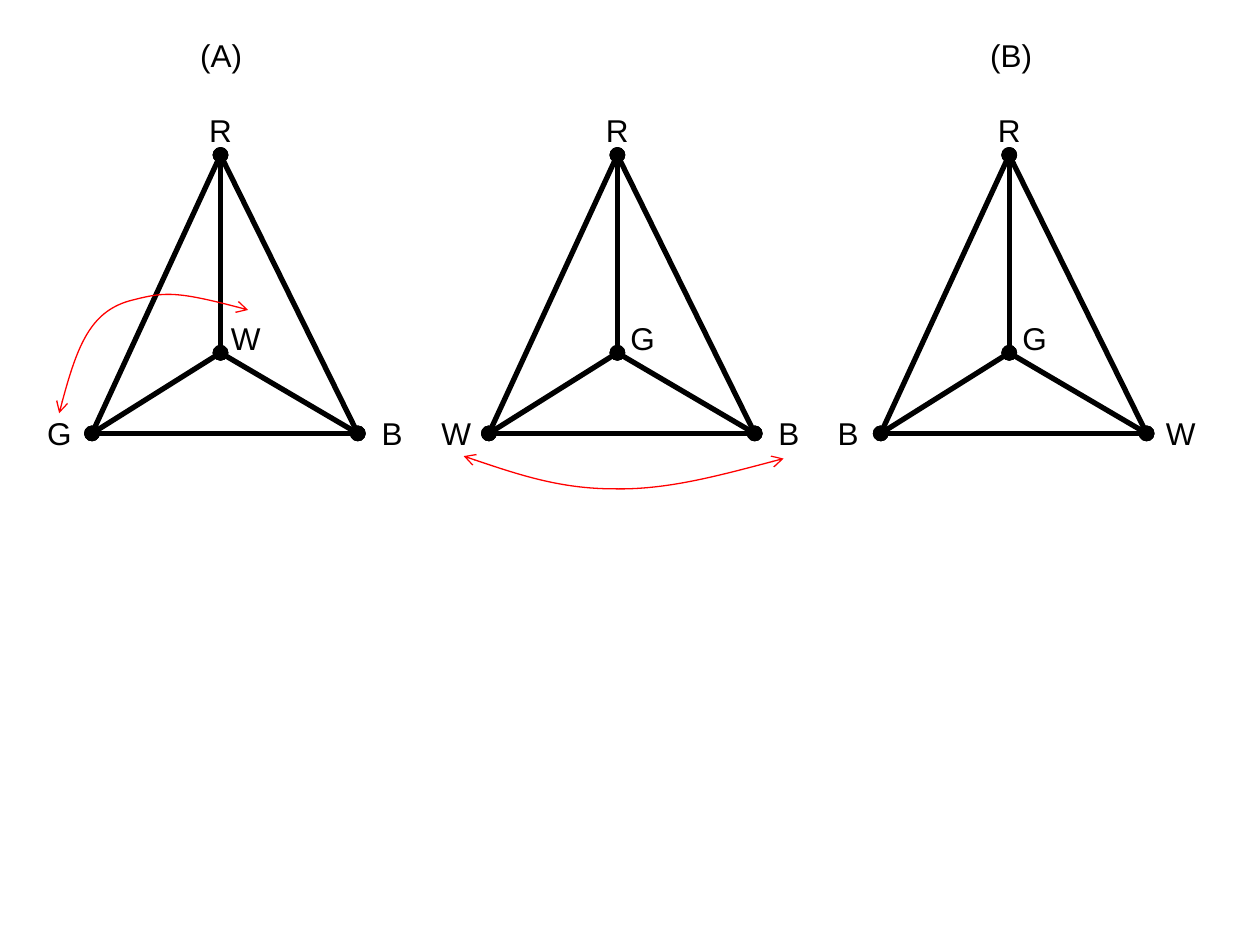
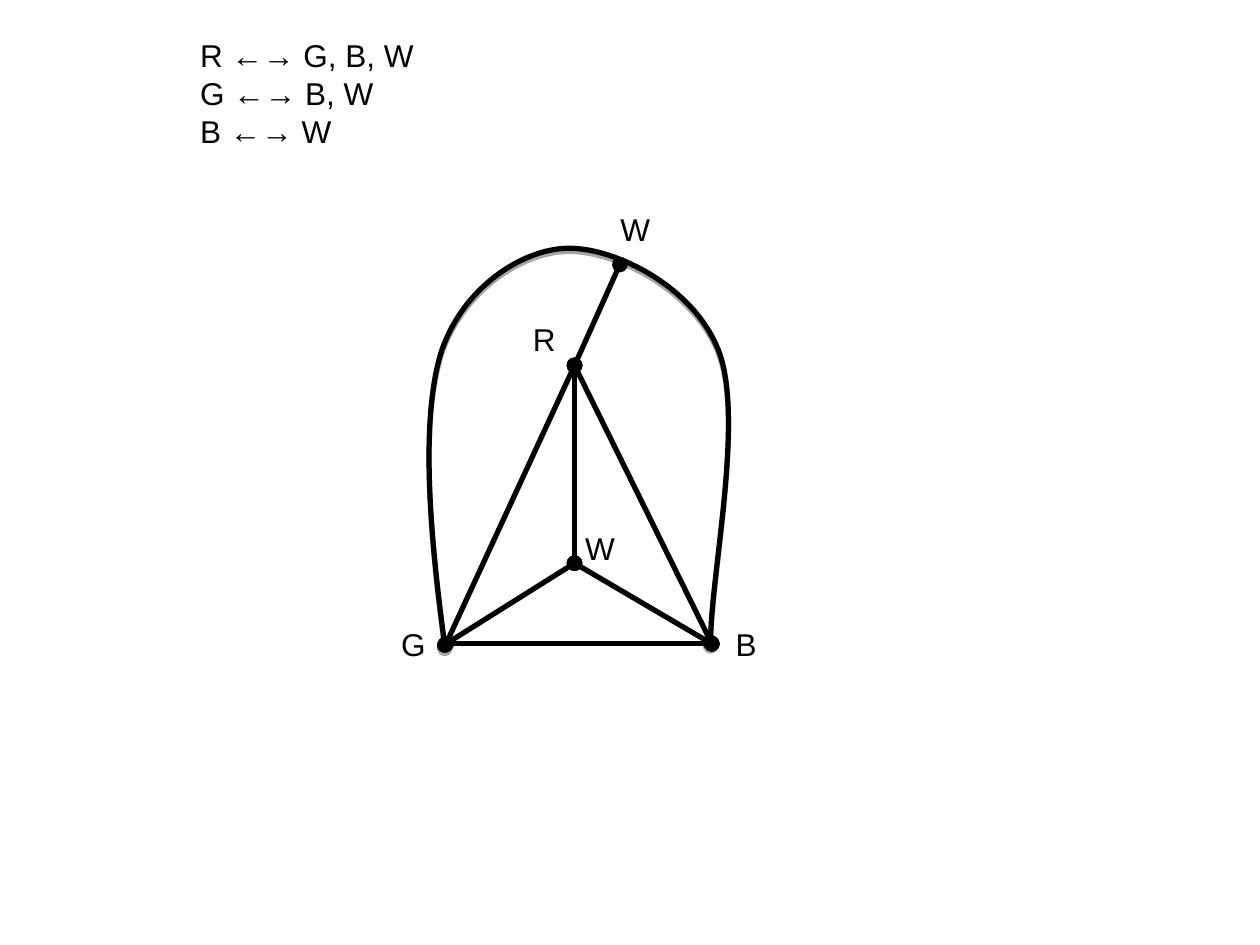
"""Build two slides of colour-permutation tetrahedron diagrams."""
from dataclasses import dataclass

from lxml.etree import SubElement
from pptx import Presentation
from pptx.dml.color import RGBColor
from pptx.enum.shapes import MSO_CONNECTOR as Connector
from pptx.enum.text import MSO_AUTO_SIZE as AutoSize, PP_ALIGN as Align
from pptx.oxml.ns import qn
from pptx.util import Inches, Pt


@dataclass(frozen=True)
class Theme:
    ink: RGBColor = RGBColor(0, 0, 0)
    swap: RGBColor = RGBColor(255, 0, 0)
    font: str = "Arial"
    size: int = Pt(18)
    edge: int = Pt(3)
    arrow: int = Pt(0.75)


theme = Theme()
FRAME_FORMAT = {"word_wrap": False, "auto_size": AutoSize.SHAPE_TO_FIT_TEXT}
FONT_FORMAT = {"name": theme.font, "size": theme.size}


def add_text(shapes, text, left, top, width, height=0.4, align=Align.LEFT):
    box = shapes.add_textbox(*map(Inches, (left, top, width, height)))
    box.text_frame.text = text
    for attribute, value in FRAME_FORMAT.items():
        setattr(box.text_frame, attribute, value)
    for paragraph in box.text_frame.paragraphs:
        paragraph.alignment = align
        for attribute, value in FONT_FORMAT.items():
            setattr(paragraph.font, attribute, value)
        paragraph.font.color.rgb = theme.ink


def style_stroke(stroke, colour, width, ends):
    stroke.line.color.rgb = colour
    stroke.line.width = width
    properties = stroke.line._get_or_add_ln()
    for end in ("a:headEnd", "a:tailEnd"):
        SubElement(properties, qn(end), type=ends)
    return SubElement(properties.getparent(), qn("a:effectLst"))


deck = Presentation()
deck.slide_width, deck.slide_height = Inches(10), Inches(7.5)
swaps, pairs = (deck.slides.add_slide(deck.slide_layouts[6]).shapes for _ in range(2))

LETTER_WIDTHS = {"R": 0.38, "G": 0.39, "B": 0.36, "W": 0.43}
CORNERS = {"top": (0, 0), "left": (-1.02, 2.21), "right": (1.09, 2.21), "inner": (0, 1.57)}
EDGES = [("top", "right"), ("top", "left"), ("right", "left"),
         ("inner", "left"), ("right", "inner"), ("top", "inner")]
LABEL_SPOTS = [(0, -0.4), (-1.28, 2.01), (1.36, 2.01), (0.2, 1.25)]
OUTER_SPOTS = [(-0.24, -0.41), *LABEL_SPOTS[1:], (0.48, -1.28)]

tetrahedra = [
    (swaps.add_group_shape().shapes, 1.75, 1.23, "RGBW", LABEL_SPOTS),
    (swaps.add_group_shape().shapes, 4.9, 1.23, "RWBG", LABEL_SPOTS),
    (swaps.add_group_shape().shapes, 8.01, 1.23, "RBWG", LABEL_SPOTS),
    (pairs, 4.56, 2.9, "RGBWW", OUTER_SPOTS),
]
for shapes, apex_x, apex_y, letters, spots in tetrahedra:
    edges = [(*CORNERS[start], *CORNERS[finish]) for start, finish in EDGES]
    if shapes is pairs:
        edges.append((0.36, -0.8, 0, 0))
    for x1, y1, x2, y2 in edges:
        edge = shapes.add_connector(
            Connector.STRAIGHT, Inches(apex_x + x1), Inches(apex_y + y1),
            Inches(apex_x + x2), Inches(apex_y + y2))
        style_stroke(edge, theme.ink, theme.edge, "oval")
    for letter, (x, y) in zip(letters, spots):
        width = LETTER_WIDTHS[letter]
        add_text(shapes, letter, apex_x + x - width / 2, apex_y + y, width, align=Align.CENTER)

add_text(swaps, "(A)", 1.49, 0.24, 0.53)
add_text(swaps, "(B)", 7.76, 0.24, 0.53)
add_text(pairs, "R ←→ G, B, W\nG ←→ B, W\nB ←→ W", 1.49, 0.24, 1.95, 1)

arcs = [
    (swaps, theme.swap, theme.arrow, "arrow",
     [(0.47, 3.28), (0.6, 2.77), (0.72, 2.48), (1.02, 2.39),
      (1.29, 2.32), (1.38, 2.3), (1.97, 2.46)]),
    (swaps, theme.swap, theme.arrow, "arrow",
     [(3.68, 3.62), (4.06, 3.75), (4.45, 3.88), (4.87, 3.88),
      (5.29, 3.89), (5.76, 3.76), (6.22, 3.64)]),
    (pairs, theme.ink, theme.edge, "oval",
     [(3.53, 5.12), (3.41, 4.23), (3.34, 3.33), (3.5, 2.8),
      (3.67, 2.28), (4.15, 1.97), (4.52, 1.97),
      (4.89, 1.97), (5.52, 2.28), (5.71, 2.8),
      (5.9, 3.33), (5.64, 4.57), (5.64, 5.1)]),
]
for shapes, colour, width, ends, controls in arcs:
    start, *rest = [(Inches(x), Inches(y)) for x, y in controls]
    builder = shapes.build_freeform(*start)
    builder.add_line_segments(rest, close=False)
    arc = builder.convert_to_shape()
    arc.fill.background()
    effects = style_stroke(arc, colour, width, ends)
    segments = list(arc._element.iter(qn("a:lnTo")))
    outline = segments[0].getparent()
    for first in range(0, len(segments), 3):
        curve = SubElement(outline, qn("a:cubicBezTo"))
        for segment in segments[first:first + 3]:
            curve.append(segment[0])
            outline.remove(segment)
    if shapes is pairs:
        shadow = SubElement(effects, qn("a:outerShdw"), blurRad="0",
                            dist=str(Pt(1.8)), dir="5400000", rotWithShape="0")
        shade = SubElement(shadow, qn("a:srgbClr"), val=str(theme.ink))
        SubElement(shade, qn("a:alpha"), val="35000")

deck.save("out.pptx")
